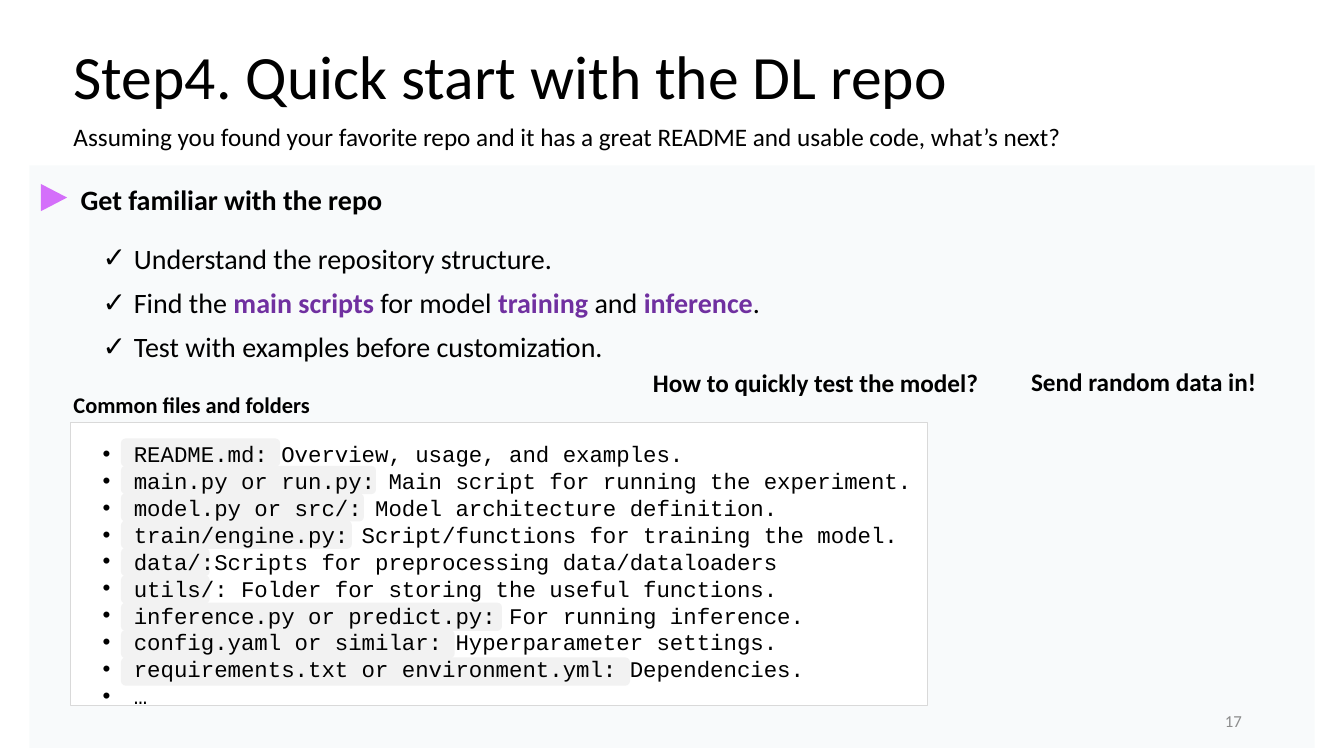
from lxml.etree import SubElement
from pptx import Presentation
from pptx.dml.color import RGBColor
from pptx.enum.shapes import MSO_SHAPE
from pptx.enum.text import MSO_ANCHOR, PP_ALIGN
from pptx.oxml.ns import qn
from pptx.util import Inches, Pt

SLIDE_WIDTH, SLIDE_HEIGHT = Inches(13.33), Inches(7.5)
BLACK, WHITE, GREY = "000000", "FFFFFF", "8C8C8C"
PURPLE, VIOLET = "7030A0", "D46FFA"
PANEL, PILL, BORDER = "F1F5F8", "F2F2F2", "D9D9D9"

# Asterisks enclose the emphasised words
CHECKS = [
    "Understand the repository structure.",
    "Find the *main scripts *for model *training* and *inference*.",
    "Test with examples before customization.",
]

# Each file entry with the width of the pill behind its name
FILES = [
    ("README.md: Overview, usage, and examples.", 11.85),
    ("main.py or run.py: Main script for running the experiment.", 18.98),
    ("model.py or src/: Model architecture definition.", 18.08),
    ("train/engine.py: Script/functions for training the model.", 17.18),
    ("data/:Scripts for preprocessing data/dataloaders", 6.6),
    ("utils/: Folder for storing the useful functions.", 6.6),
    ("inference.py or predict.py: For running inference.", 28.35),
    ("config.yaml or similar: Hyperparameter settings.", 24.83),
    ("requirements.txt or environment.yml: Dependencies.", 37.88),
    ("…", 0),
]
PILL_TOP, PILL_STEP, PILL_HEIGHT = 58, 3.62, 3.73


def color(hex_code):
    return RGBColor.from_string(hex_code)


def area(left, top, width, height):
    """Turn percentages of the slide's size into lengths."""
    across, down = SLIDE_WIDTH / 100, SLIDE_HEIGHT / 100
    return (int(left * across), int(top * down),
            int(width * across), int(height * down))


def add_block(slide, kind, place, fill, line=None):
    block = slide.shapes.add_shape(kind, *area(*place))
    block.shadow.inherit = False
    block.fill.solid()
    block.fill.fore_color.rgb = color(fill)
    if line:
        block.line.color.rgb = color(line)
        block.line.width = Pt(1)
    else:
        block.line.fill.background()
    return block


def add_bullet(paragraph, mark):
    properties = paragraph._p.get_or_add_pPr()
    properties.set("marL", str(Inches(0.31)))
    properties.set("indent", str(-Inches(0.31)))
    SubElement(properties, qn("a:buFont")).set("typeface", "Arial")
    SubElement(properties, qn("a:buChar")).set("char", mark)


def write_paragraph(paragraph, text, size, font="Calibri", bold=False,
                    ink=BLACK, align=PP_ALIGN.LEFT, spacing=None, mark=None):
    paragraph.alignment = align
    if spacing:
        paragraph.line_spacing = spacing
    if mark:
        add_bullet(paragraph, mark)
    paragraph.font.name = font
    paragraph.font.size = Pt(size)
    paragraph.font.bold = bold
    paragraph.font.color.rgb = color(ink)
    for position, part in enumerate(text.split("*")):
        run = paragraph.add_run()
        run.text = part
        if position % 2:
            run.font.bold = True
            run.font.color.rgb = color(PURPLE)


def add_text(slide, place, lines, size, anchor=MSO_ANCHOR.TOP, gap=0, **style):
    box = slide.shapes.add_textbox(*area(*place))
    frame = box.text_frame
    frame.word_wrap = True
    frame.vertical_anchor = anchor
    for number, line in enumerate(lines):
        paragraph = frame.add_paragraph() if number else frame.paragraphs[0]
        if number and gap:
            paragraph.space_before = Pt(gap)
        write_paragraph(paragraph, line, size, **style)
    return frame


def add_heading(slide):
    title = slide.shapes.title
    title.left, title.top, title.width, title.height = area(4.73, 0.8, 86.25, 19.33)
    title.text_frame.vertical_anchor = MSO_ANCHOR.MIDDLE
    write_paragraph(title.text_frame.paragraphs[0],
                    "Step4. Quick start with the DL repo", 44, spacing=0.9)
    add_text(slide, (4.73, 15.33, 78.23, 5.33),
             ["Assuming you found your favorite repo and it has a great README "
              "and usable code, what’s next?"], 18)


def add_panel(slide):
    panel = add_block(slide, MSO_SHAPE.RECTANGLE, (2.18, 21.87, 95.63, 77.07), PANEL)
    tint = panel.fill._xPr.find(".//" + qn("a:srgbClr"))
    SubElement(tint, qn("a:alpha")).set("val", "44000")


def add_steps(slide):
    pointer = add_block(slide, MSO_SHAPE.ISOSCELES_TRIANGLE, (3, 24.4, 2.03, 3.47), VIOLET)
    pointer.rotation = 90
    add_text(slide, (5.25, 16.93, 86.25, 19.33), ["Get familiar with the repo"], 20,
             anchor=MSO_ANCHOR.MIDDLE, bold=True, spacing=0.9)
    add_text(slide, (6.9, 31.73, 83.1, 22.93), CHECKS, 20, gap=10, spacing=0.9, mark="✓")


def add_file_list(slide):
    add_text(slide, (4.73, 50, 19.65, 7.47), ["Common files and folders"], 16,
             anchor=MSO_ANCHOR.MIDDLE, bold=True, spacing=0.9)
    add_block(slide, MSO_SHAPE.RECTANGLE, (5.25, 55.87, 63.75, 37.47), WHITE, BORDER)
    for row, (_, width) in enumerate(FILES):
        if width:
            add_block(slide, MSO_SHAPE.ROUNDED_RECTANGLE,
                      (9, PILL_TOP + row * PILL_STEP, width, PILL_HEIGHT), PILL)
    entries = add_text(slide, (6.9, 56.93, 70.2, 30.93), [entry for entry, _ in FILES],
                       16, font="Courier New", mark="•")
    entries.margin_top = entries.margin_bottom = Inches(0.1)


def main():
    prs = Presentation()
    prs.slide_width, prs.slide_height = SLIDE_WIDTH, SLIDE_HEIGHT
    slide = prs.slides.add_slide(prs.slide_layouts[5])

    add_panel(slide)
    add_heading(slide)
    add_steps(slide)

    # Question and answer
    add_text(slide, (47.85, 47.87, 28.13, 5.33),
             ["How to quickly test the model?"], 18, bold=True)
    add_text(slide, (75.98, 47.73, 20.63, 5.33), ["Send random data in!"], 18, bold=True)

    add_file_list(slide)

    # Page number
    add_text(slide, (70.65, 92.67, 22.5, 5.33), ["17"], 12,
             anchor=MSO_ANCHOR.MIDDLE, ink=GREY, align=PP_ALIGN.RIGHT)
    prs.save("out.pptx")


if __name__ == "__main__":
    main()
